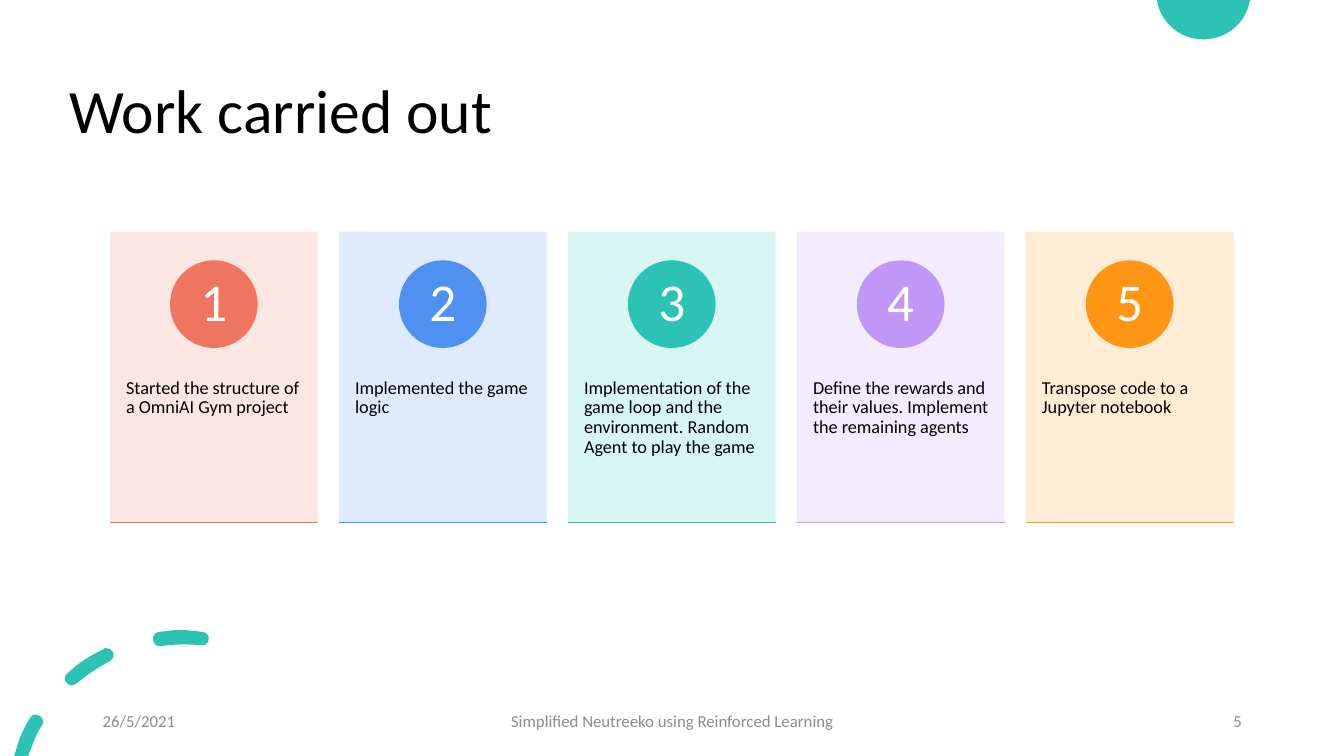
from lxml import etree
from pptx import Presentation
from pptx.dml.color import RGBColor
from pptx.enum.shapes import MSO_CONNECTOR, MSO_SHAPE
from pptx.enum.text import MSO_ANCHOR, MSO_AUTO_SIZE, PP_ALIGN
from pptx.oxml.ns import qn
from pptx.util import Cm, Pt

RECT, OVAL, LINE = MSO_SHAPE.RECTANGLE, MSO_SHAPE.OVAL, MSO_CONNECTOR.STRAIGHT
LEFT, CENTER, RIGHT = PP_ALIGN.LEFT, PP_ALIGN.CENTER, PP_ALIGN.RIGHT
TOP, MIDDLE = MSO_ANCHOR.TOP, MSO_ANCHOR.MIDDLE

COLORS = {
    "text": "000000", "white": "FFFFFF", "footer": "8C8C8C",
    "coral": "EE7661", "coral_light": "FCE4DF",
    "blue": "4E91F0", "blue_light": "DCE9FC",
    "teal": "2CC3B4", "teal_light": "D3F5F2",
    "purple": "C097F8", "purple_light": "F2EAFE",
    "orange": "FF9514", "orange_light": "FFEAD0",
}
FONT = "Calibri"
TITLE = "Work carried out"
STEPS = [
    ("coral", "Started the structure of a OmniAI Gym project"),
    ("blue", "Implemented the game logic"),
    ("teal", "Implementation of the game loop and the environment. "
             "Random Agent to play the game"),
    ("purple", "Define the rewards and their values. Implement the remaining agents"),
    ("orange", "Transpose code to a Jupyter notebook"),
]
FOOTERS = [
    ("26/5/2021", 2.34, 7.62, LEFT),
    ("Simplified Neutreeko using Reinforced Learning", 11.23, 11.43, CENTER),
    ("5", 23.93, 7.62, RIGHT),
]
INCH = 2.54
TOP_DISC = [
    [(11.48, 0), (12.41, 0), (12.4, 0.01),
     (12.36, 0.23, 12.17, 0.39, 11.94, 0.39),
     (11.71, 0.39, 11.52, 0.23, 11.48, 0.01)],
]
DASHED_ARC = [
    [(0.36, 7.09), (0.34, 7.08, 0.31, 7.1, 0.3, 7.12),
     (0.26, 7.18, 0.23, 7.25, 0.2, 7.31), (0.14, 7.5), (0.28, 7.5), (0.33, 7.37),
     (0.35, 7.31, 0.38, 7.25, 0.42, 7.19), (0.44, 7.16, 0.42, 7.11, 0.39, 7.1),
     (0.38, 7.09, 0.37, 7.09, 0.36, 7.09)],
    [(1.05, 6.43), (1.04, 6.43, 1.03, 6.43, 1.03, 6.44),
     (0.9, 6.5, 0.77, 6.58, 0.67, 6.68), (0.64, 6.7, 0.63, 6.75, 0.66, 6.77),
     (0.67, 6.79, 0.69, 6.8, 0.71, 6.8), (0.73, 6.8, 0.74, 6.79, 0.76, 6.78),
     (0.86, 6.7, 0.97, 6.62, 1.09, 6.56), (1.12, 6.54, 1.14, 6.5, 1.12, 6.47),
     (1.11, 6.44, 1.08, 6.43, 1.05, 6.43)],
    [(1.79, 6.25), (1.72, 6.25, 1.65, 6.26, 1.58, 6.27),
     (1.54, 6.27, 1.51, 6.31, 1.52, 6.35), (1.52, 6.38, 1.55, 6.41, 1.58, 6.41),
     (1.59, 6.41), (1.73, 6.39, 1.86, 6.39, 1.99, 6.4),
     (2.03, 6.41, 2.07, 6.38, 2.07, 6.35), (2.08, 6.31, 2.05, 6.27, 2.01, 6.27),
     (1.94, 6.26, 1.86, 6.25, 1.79, 6.25)],
]

CARD_X, CARD_Y, CARD_W, CARD_H, CARD_STEP = 2.77, 5.84, 5.24, 7.33, 5.77
DISC_Y, DISC_D = 6.56, 2.21


def rgb(name):
    return RGBColor.from_string(COLORS[name])


def write(sp, text, size, color, align=LEFT, anchor=MIDDLE, spacing=None, **frame):
    tf = sp.text_frame
    frame = {"word_wrap": True, "auto_size": MSO_AUTO_SIZE.NONE,
             "vertical_anchor": anchor, **frame}
    for key, value in frame.items():
        setattr(tf, key, value)
    p = tf.paragraphs[0]
    p.alignment, p.line_spacing = align, spacing
    r = p.add_run()
    r.text = text
    for key, value in {"name": FONT, "size": Pt(size)}.items():
        setattr(r.font, key, value)
    r.font.color.rgb = rgb(color)


def paint(sp, color):
    sp.shadow.inherit = False
    sp.fill.solid()
    sp.fill.fore_color.rgb = rgb(color)
    sp.line.fill.background()


def add_shape(kind, x, y, w, h, color):
    sp = s.shapes.add_shape(kind, Cm(x), Cm(y), Cm(w), Cm(h))
    paint(sp, color)
    return sp


def emu_points(seg):
    return [(Cm(x * INCH), Cm(y * INCH)) for x, y in zip(seg[::2], seg[1::2])]


def add_outline(outlines, color):
    segments = [[emu_points(seg) for seg in outline] for outline in outlines]
    builder = s.shapes.build_freeform(*segments[0][0][-1])
    for i, outline in enumerate(segments):
        start, *ends = [seg[-1] for seg in outline]
        if i:
            builder.move_to(*start)
        builder.add_line_segments(ends, close=True)
    sp = builder.convert_to_shape()
    paint(sp, color)
    lines = list(sp._element.iter(qn("a:lnTo")))
    for line, seg in zip(lines, (seg for outline in segments for seg in outline[1:])):
        if len(seg) == 3:
            curve = etree.Element(qn("a:cubicBezTo"))
            for x, y in seg:
                etree.SubElement(curve, qn("a:pt"), x=str(x - sp.left), y=str(y - sp.top))
            line.getparent().replace(line, curve)


def add_step(number, color, text):
    x = CARD_X + (number - 1) * CARD_STEP
    card = add_shape(RECT, x, CARD_Y, CARD_W, CARD_H, color + "_light")
    srgb = card.fill._xPr.find(".//" + qn("a:srgbClr"))
    etree.SubElement(srgb, qn("a:alpha")).set("val", "90000")
    write(card, text, 13, "text", anchor=TOP, spacing=0.9,
          margin_left=Cm(0.41), margin_right=Cm(0.35), margin_top=Cm(3.7))
    disc = add_shape(OVAL, x + (CARD_W - DISC_D) / 2, DISC_Y, DISC_D, DISC_D, color)
    write(disc, str(number), 38, "white", CENTER, spacing=0.9,
          margin_left=0, margin_right=0, margin_top=0, margin_bottom=0)
    bottom = Cm(CARD_Y + CARD_H)
    rule = s.shapes.add_connector(LINE, Cm(x), bottom, Cm(x + CARD_W), bottom)
    rule.line.color.rgb = rgb(color)
    rule.line.width = Pt(1)
    etree.SubElement(rule._element.spPr, qn("a:effectLst"))


prs = Presentation()
prs.slide_width, prs.slide_height = Cm(33.87), Cm(19.05)
s = prs.slides.add_slide(prs.slide_layouts[5])

add_outline(TOP_DISC, "teal")
add_outline(DASHED_ARC, "teal")

title = s.shapes.title
for key, value in {"left": 1.5, "top": 1.02, "width": 29.21, "height": 3.68}.items():
    setattr(title, key, Cm(value))
write(title, TITLE, 44, "text", spacing=0.9)

for number, (color, text) in enumerate(STEPS, 1):
    add_step(number, color, text)

for text, x, w, align in FOOTERS:
    box = s.shapes.add_textbox(Cm(x), Cm(17.65), Cm(w), Cm(1.02))
    write(box, text, 12, "footer", align)

prs.save("out.pptx")
